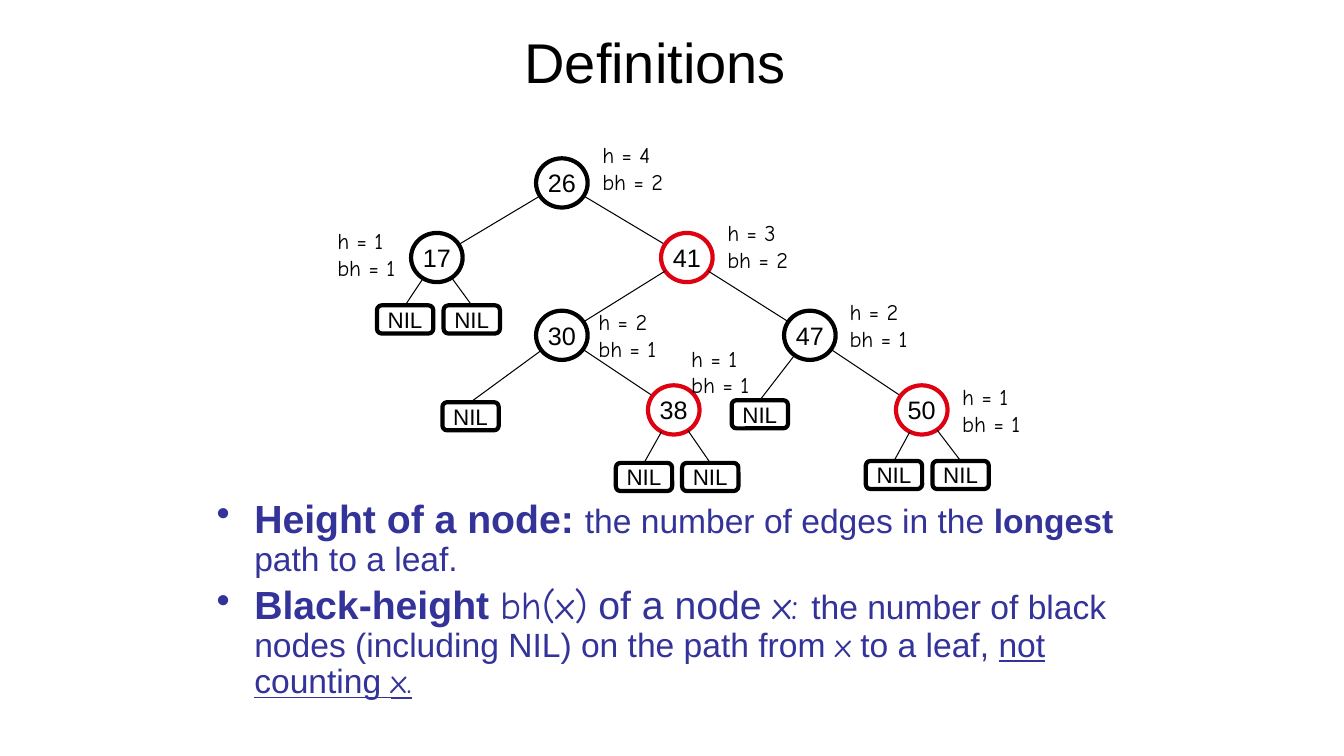
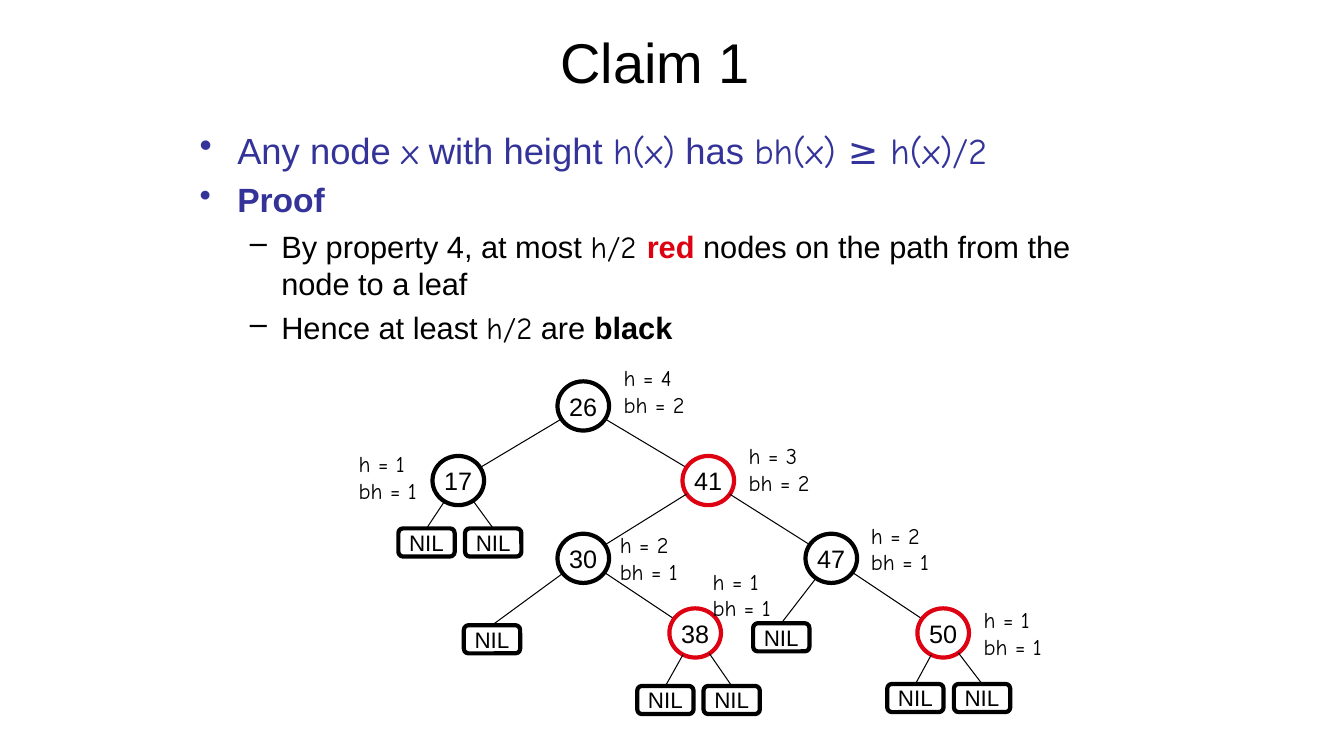
import dataclasses
import math
import typing

import lxml.etree
import pptx
import pptx.dml.color
import pptx.enum.shapes
import pptx.enum.text
import pptx.oxml.ns
import pptx.util

Cm = pptx.util.Cm
Pt = pptx.util.Pt
SHAPE = pptx.enum.shapes.MSO_SHAPE
ALIGN = pptx.enum.text.PP_ALIGN
ANCHOR = pptx.enum.text.MSO_ANCHOR

SANS = "Arial"
COMIC = "Comic Neue"
BLACK = "000000"
RED = "DD0111"
BLUE = "333399"

NODE_W, NODE_H = 1.3, 1.24
LEAF_W, LEAF_H = 1.42, 0.71
LABEL_H = 1.63
GAP = 5.5


class Spot(typing.NamedTuple):
    x: float
    y: float

    def plus(self, other: "Spot") -> "Spot":
        return Spot(self.x + other.x, self.y + other.y)


class Box(typing.NamedTuple):
    left: float
    top: float
    width: float
    height: float

    def emu(self) -> list[int]:
        return [Cm(side) for side in self]


@dataclasses.dataclass(frozen=True)
class Run:
    text: str
    size: float
    font: str = SANS
    hue: str = BLUE
    bold: bool = False
    under: bool = False


@dataclasses.dataclass(frozen=True)
class Para:
    runs: list[Run]
    level: int = 0


class Bullet(typing.NamedTuple):
    mark: str
    margin: float
    hang: float


@dataclasses.dataclass(frozen=True)
class Node:
    key: int
    at: Spot
    height: int
    black: int
    label: Spot
    hue: str = BLACK
    kids: tuple[int, ...] = ()
    leaves: tuple[Spot, ...] = ()


BULLETS = [Bullet("•", 0.95, 0.95), Bullet("–", 2.06, 0.79)]

TREE = [
    Node(26, Spot(0, 0), 4, 2, Spot(0.77, -1.18), kids=(17, 41)),
    Node(17, Spot(-3.15, 1.88), 1, 1, Spot(-2.76, -0.9),
         leaves=(Spot(-0.8, 1.56), Spot(0.88, 1.56))),
    Node(41, Spot(3.15, 1.88), 3, 2, Spot(0.77, -1.1), RED, kids=(30, 47)),
    Node(30, Spot(0, 3.84), 2, 1, Spot(0.67, -0.8), kids=(38,),
         leaves=(Spot(-2.3, 2.04),)),
    Node(47, Spot(6.25, 3.84), 2, 1, Spot(0.75, -1.05), kids=(50,),
         leaves=(Spot(-1.26, 1.99),)),
    Node(38, Spot(2.82, 5.72), 1, 1, Spot(0.19, -1.77), RED,
         leaves=(Spot(-0.75, 1.69), Spot(0.92, 1.69))),
    Node(50, Spot(9.07, 5.72), 1, 1, Spot(0.77, -0.8), RED,
         leaves=(Spot(-0.7, 1.64), Spot(0.98, 1.64))),
]


def paint(target: typing.Any, hue: str) -> None:
    target.rgb = pptx.dml.color.RGBColor.from_string(hue)


def add_run(para: typing.Any, run: Run) -> None:
    piece = para.add_run()
    piece.text = run.text
    piece.font.size = Pt(run.size)
    piece.font.name = run.font
    piece.font.bold = run.bold
    piece.font.underline = run.under
    paint(piece.font.color, run.hue)


def add_title(slide: typing.Any, text: str) -> None:
    frame = slide.shapes.add_textbox(*Box(1.27, 0.28, 30.48, 2.51).emu()).text_frame
    frame.word_wrap = True
    frame.vertical_anchor = ANCHOR.MIDDLE
    para = frame.paragraphs[0]
    para.alignment = ALIGN.CENTER
    add_run(para, Run(text, 40, hue=BLACK))


def add_body(slide: typing.Any, box: Box, paras: list[Para], pitch: float) -> None:
    frame = slide.shapes.add_textbox(*box.emu()).text_frame
    frame.word_wrap = True
    for rank, item in enumerate(paras):
        para = frame.add_paragraph() if rank else frame.paragraphs[0]
        bullet = BULLETS[item.level]
        props = para._p.get_or_add_pPr()
        props.set("marL", str(Cm(bullet.margin)))
        props.set("indent", str(-Cm(bullet.hang)))
        mark = lxml.etree.SubElement(props, pptx.oxml.ns.qn("a:buChar"))
        mark.set("char", bullet.mark)
        para.level = item.level
        para.line_spacing = pitch
        para.space_before = Pt(GAP if rank else 0)
        for run in item.runs:
            add_run(para, run)


def add_cell(group: typing.Any, kind: typing.Any, mid: Spot, width: float,
             height: float, hue: str, run: Run) -> typing.Any:
    box = Box(mid.x - width / 2, mid.y - height / 2, width, height)
    cell = group.shapes.add_shape(kind, *box.emu())
    cell.shadow.inherit = False
    cell.fill.background()
    paint(cell.line.color, hue)
    cell.line.width = Pt(3)
    frame = cell.text_frame
    frame.word_wrap = False
    frame.vertical_anchor = ANCHOR.MIDDLE
    para = frame.paragraphs[0]
    para.alignment = ALIGN.CENTER
    add_run(para, run)
    return cell


def rim(mid: Spot, goal: Spot) -> Spot:
    dx, dy = goal.x - mid.x, goal.y - mid.y
    scale = 1 / math.hypot(2 * dx / NODE_W, 2 * dy / NODE_H)
    return Spot(mid.x + dx * scale, mid.y + dy * scale)


def add_edge(group: typing.Any, start: Spot, end: Spot) -> typing.Any:
    edge = group.shapes.add_connector(
        pptx.enum.shapes.MSO_CONNECTOR.STRAIGHT,
        Cm(start.x), Cm(start.y), Cm(end.x), Cm(end.y))
    paint(edge.line.color, BLACK)
    edge.line.width = Pt(0.75)
    lxml.etree.SubElement(edge._element.spPr, pptx.oxml.ns.qn("a:effectLst"))
    return edge


def add_label(group: typing.Any, node: Node, mid: Spot) -> None:
    spot = mid.plus(node.label)
    width = 2.13 if node.black == 2 else 2.06
    frame = group.shapes.add_textbox(*Box(spot.x, spot.y, width, LABEL_H).emu()).text_frame
    frame.word_wrap = False
    frame.auto_size = pptx.enum.text.MSO_AUTO_SIZE.SHAPE_TO_FIT_TEXT
    add_run(frame.paragraphs[0], Run(f"h = {node.height}", 16, COMIC, BLACK))
    add_run(frame.add_paragraph(), Run(f"bh = {node.black}", 16, COMIC, BLACK))


def add_tree(slide: typing.Any, root: Spot) -> None:
    group = slide.shapes.add_group_shape()
    mids = {node.key: root.plus(node.at) for node in TREE}
    for node in TREE:
        mid = mids[node.key]
        add_cell(group, SHAPE.OVAL, mid, NODE_W, NODE_H, node.hue,
                 Run(str(node.key), 18, hue=BLACK))
        for kid in node.kids:
            goal = mids[kid]
            add_edge(group, rim(mid, goal), rim(goal, mid))
        for shift in node.leaves:
            spot = mid.plus(shift)
            leaf = add_cell(group, SHAPE.ROUNDED_RECTANGLE, spot, LEAF_W, LEAF_H,
                            BLACK, Run("NIL", 16, hue=BLACK))
            top = Spot(spot.x, spot.y - LEAF_H / 2)
            add_edge(group, rim(mid, top), top).end_connect(leaf, 0)
    for node in TREE:
        add_label(group, node, mids[node.key])


TERMS = [
    Para([
        Run("Height of a node: ", 28, bold=True),
        Run("the number of edges in the ", 24),
        Run("longest ", 24, bold=True),
        Run("path to a leaf.", 24),
    ]),
    Para([
        Run("Black-height ", 28, bold=True),
        Run("bh(x)", 28, COMIC),
        Run(" of a node ", 28),
        Run("x: ", 28, COMIC),
        Run("the number of black nodes (including NIL) on the path from ", 24),
        Run("x", 24, COMIC),
        Run(" to a leaf, ", 24),
        Run("not counting ", 24, under=True),
        Run("x.", 24, COMIC, under=True),
    ]),
]

CLAIM = [
    Para([
        Run("Any node ", 26),
        Run("x", 26, COMIC),
        Run(" with height ", 26),
        Run("h(x)", 26, COMIC),
        Run(" has ", 26),
        Run("bh(x) ≥ h(x)/2", 26, COMIC),
    ]),
    Para([Run("Proof", 24, bold=True)]),
    Para([
        Run("By property 4, at most ", 22, hue=BLACK),
        Run("h/2 ", 22, COMIC, BLACK),
        Run("red", 22, hue=RED, bold=True),
        Run(" nodes on the path from the node to a leaf", 22, hue=BLACK),
    ], 1),
    Para([
        Run("Hence at least ", 22, hue=BLACK),
        Run("h/2", 22, COMIC, BLACK),
        Run(" are ", 22, hue=BLACK),
        Run("black", 22, hue=BLACK, bold=True),
    ], 1),
]


def main() -> None:
    deck = pptx.Presentation()
    deck.slide_width = Cm(33.87)
    deck.slide_height = Cm(19.05)
    pages = [
        ("Definitions", Box(5.21, 12.47, 23.72, 5.54), TERMS, 0.9, Spot(14.16, 4.61)),
        ("Claim 1", Box(4.78, 3.1, 24.16, 5.94), CLAIM, 1.0, Spot(14.7, 10.23)),
    ]
    for title, box, paras, pitch, root in pages:
        slide = deck.slides.add_slide(deck.slide_layouts[6])
        add_title(slide, title)
        add_body(slide, box, paras, pitch)
        add_tree(slide, root)
    deck.save("out.pptx")


if __name__ == "__main__":
    main()
